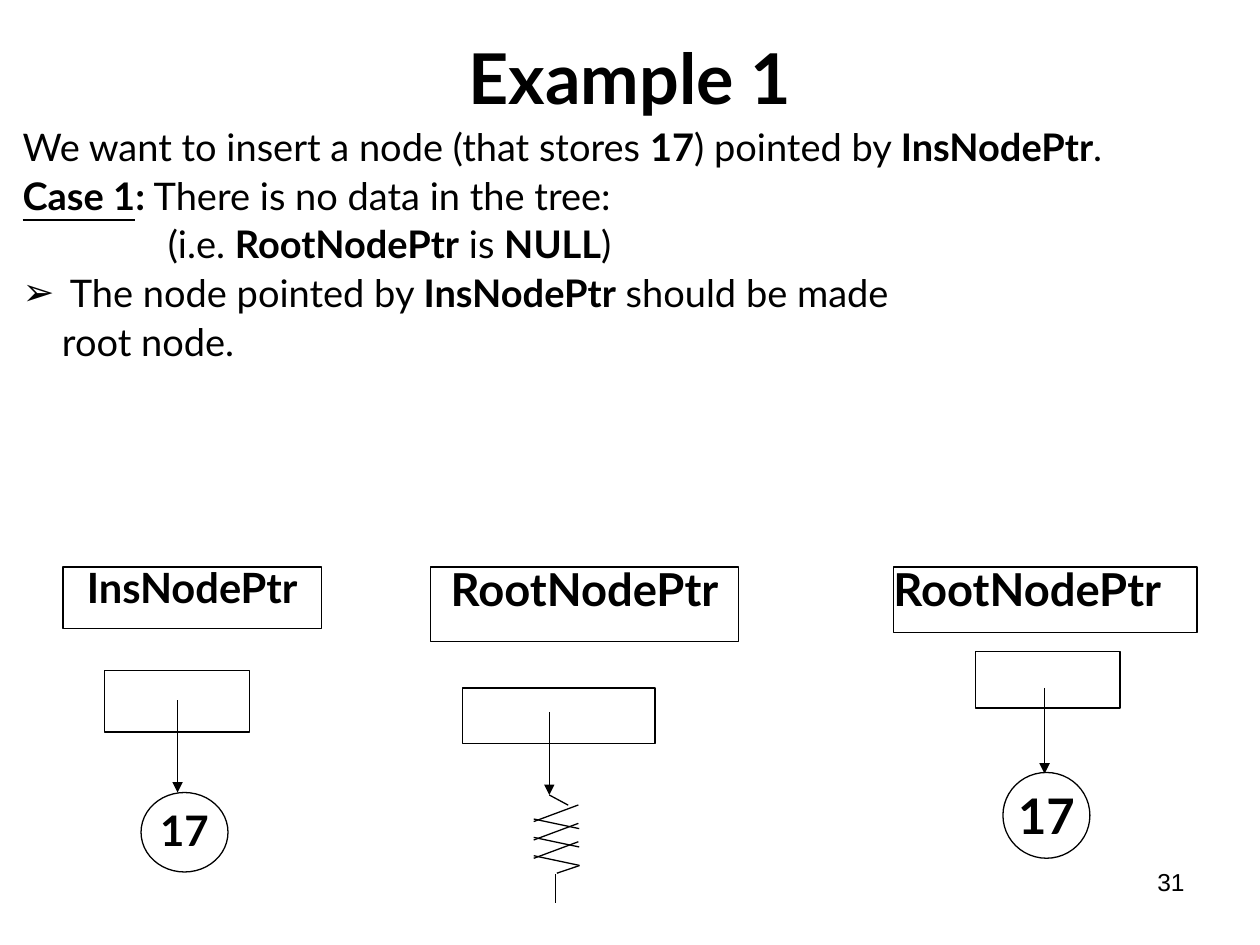
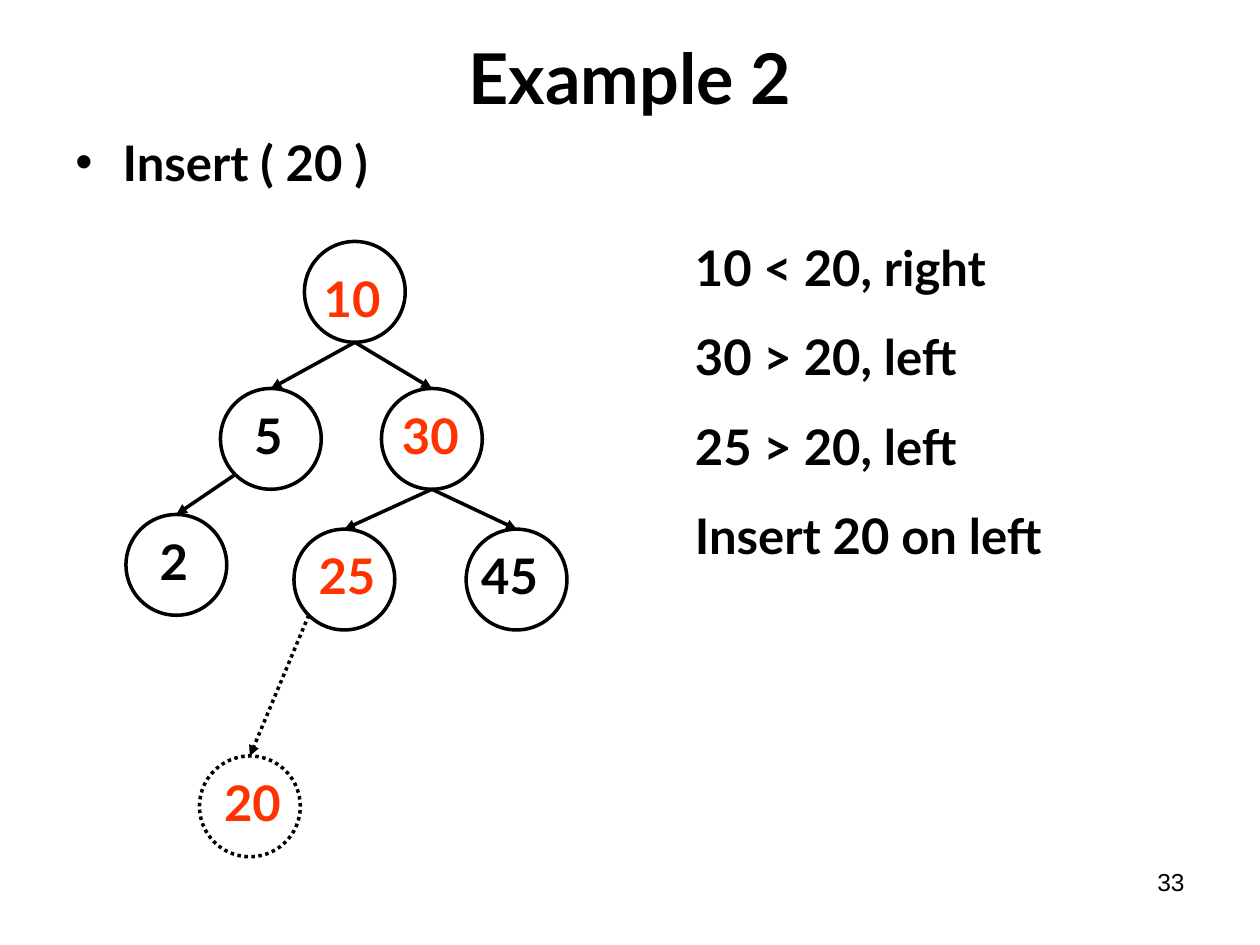
from dataclasses import dataclass
from math import sqrt

from pptx import Presentation
from pptx.dml.color import RGBColor
from pptx.enum.dml import MSO_LINE
from pptx.enum.shapes import MSO_CONNECTOR, MSO_SHAPE
from pptx.enum.text import MSO_ANCHOR, PP_ALIGN
from pptx.oxml.ns import qn
from pptx.util import Pt
from lxml.etree import SubElement


@dataclass(frozen=True)
class Theme:
    ink: RGBColor = RGBColor(0, 0, 0)
    paper: RGBColor = RGBColor(255, 255, 255)
    visited: RGBColor = RGBColor(0xFF, 0x33, 0x00)
    font: str = "Lato"
    number_font: str = "Arial"
    title: float = 40
    heading: float = 28
    body: float = 21.7
    number: float = 14
    thin: float = 0.75
    thick: float = 2


THEME = Theme()
NODE = 57.6
HANGING = 27

INSERT_CASE = [
    (0, None, [("We want to insert a node (that stores ", ""), ("17", "b"),
               (") pointed by ", ""), ("InsNodePtr", "b"), (".", "")]),
    (0, None, [("Case 1", "bu"), (":", "b"), (" There is no data in the tree:", "")]),
    (83, None, [("(i.e. ", ""), ("RootNodePtr", "b"), (" is ", ""),
                ("NULL", "b"), (")", "")]),
    (HANGING, "➢", [("The node pointed by ", ""), ("InsNodePtr", "b"),
                    (" should be made", "")]),
    (22.5, None, [("root node.", "")]),
]

POINTERS = [
    ("InsNodePtr", 23.8, PP_ALIGN.CENTER, (36, 324, 147.6, 35.3),
     (59.8, 383, 82.8, 35.3), (101.5, 400.3, 452.9)),
    ("RootNodePtr", 25.9, PP_ALIGN.CENTER, (246.2, 324, 175.7, 42.5),
     (264.2, 393.1, 110.2, 31.7), (313.9, 406.8, 454.3)),
    ("RootNodePtr", 25.9, PP_ALIGN.LEFT, (510.5, 324, 173.5, 37.4),
     (557.3, 372.2, 82.8, 32.4), (596.9, 393.1, 442.1)),
]

STORED_NODES = [
    (24, (80.6, 452.9, 49.7, 45.4)),
    (28, (573.1, 441.4, 49.7, 49)),
]

TREE = {
    "10": ((174, 138), (174.2, 149.8, 54), True),
    "5": ((126, 222), (138.2, 228.2, 30.2), False),
    "30": ((218, 222), (221.8, 228.2, 48.2), True),
    "2": ((72, 294), (84.2, 300.2, 30.2), False),
    "25": ((168, 302.4), (174.2, 308.2, 48.2), True),
    "45": ((266.4, 302.4), (264.2, 308.2, 54), False),
    "20": ((114, 432), (120.2, 437.8, 48.2), True),
}
EDGES = [("10", "5"), ("10", "30"), ("5", "2"), ("30", "25"), ("30", "45"), ("25", "20")]
INSERTED = "20"
STEPS = ["10 < 20, right", "30 > 20, left", "25 > 20, left", "Insert 20 on left"]


def format_run(r, size, bold=False, color=THEME.ink, font=THEME.font):
    r.font.name = font
    r.font.size = Pt(size)
    r.font.bold = bold
    r.font.color.rgb = color


def indent(p, left, bullet=None):
    pPr = p._p.get_or_add_pPr()
    pPr.set("marL", str(Pt(left)))
    pPr.set("indent", str(Pt(-HANGING if bullet else 0)))
    if bullet:
        SubElement(pPr, qn("a:buFont")).set("typeface", "Arial")
        SubElement(pPr, qn("a:buChar")).set("char", bullet)


def add_box(slide, left, top, width, height, anchor=MSO_ANCHOR.TOP):
    sp = slide.shapes.add_textbox(Pt(left), Pt(top), Pt(width), Pt(height))
    tf = sp.text_frame
    tf.word_wrap = True
    tf.vertical_anchor = anchor
    return tf


def add_label(slide, text, box, size, align=PP_ALIGN.CENTER, anchor=MSO_ANCHOR.TOP, **style):
    tf = add_box(slide, *box, anchor)
    tf.text = text
    p = tf.paragraphs[0]
    p.alignment = align
    format_run(p.runs[0], size, **style)
    return p


def style_line(line, width, dotted=False):
    line.color.rgb = THEME.ink
    line.width = Pt(width)
    if dotted:
        line.dash_style = MSO_LINE.ROUND_DOT


def add_outline(slide, kind, box, width=THEME.thin, filled=True, dotted=False):
    sp = slide.shapes.add_shape(kind, *map(Pt, box))
    sp.shadow.inherit = False
    if filled:
        sp.fill.solid()
        sp.fill.fore_color.rgb = THEME.paper
    else:
        sp.fill.background()
    style_line(sp.line, width, dotted)
    return sp


def fill_text(sp, text, size, align=PP_ALIGN.CENTER, spacing=1.0):
    tf = sp.text_frame
    tf.margin_left = tf.margin_right = tf.margin_top = tf.margin_bottom = 0
    tf.word_wrap = True
    tf.vertical_anchor = MSO_ANCHOR.TOP
    tf.text = text
    p = tf.paragraphs[0]
    p.alignment = align
    p.line_spacing = spacing
    format_run(p.runs[0], size, bold=True)


def add_line(slide, start, end, width=THEME.thin, arrow=False, dotted=False):
    line = slide.shapes.add_connector(MSO_CONNECTOR.STRAIGHT, *map(Pt, (*start, *end)))
    style_line(line.line, width, dotted)
    if arrow:
        SubElement(line.line._get_or_add_ln(), qn("a:tailEnd")).set("type", "triangle")
    SubElement(line._element.spPr, qn("a:effectLst"))


def add_slide(prs, title, number):
    slide = prs.slides.add_slide(prs.slide_layouts[6])
    add_label(slide, title, (222, 16, 276, 56), THEME.title,
              anchor=MSO_ANCHOR.MIDDLE, bold=True)
    add_label(slide, number, (516, 492, 168, 37.4), THEME.number,
              PP_ALIGN.RIGHT, font=THEME.number_font)
    return slide


def add_case_text(slide):
    tf = add_box(slide, 5.8, 72, 702, 198)
    for i, (left, bullet, runs) in enumerate(INSERT_CASE):
        p = tf.add_paragraph() if i else tf.paragraphs[0]
        p.line_spacing = 0.8
        p.space_before = Pt(7 if i else 0)
        indent(p, left, bullet)
        for text, marks in runs:
            r = p.add_run()
            r.text = text
            format_run(r, THEME.body, bold="b" in marks)
            r.font.underline = "u" in marks


def add_pointer(slide, name, size, align, name_box, cell, arrow):
    add_outline(slide, MSO_SHAPE.RECTANGLE, cell)
    fill_text(add_outline(slide, MSO_SHAPE.RECTANGLE, name_box), name, size, align, 0.9)
    x, top, bottom = arrow
    add_line(slide, (x, top), (x, bottom), arrow=True)


def add_null_symbol(slide):
    add_line(slide, (313.9, 454.3), (324.7, 460.1))
    for y in (468, 478.5, 489):
        add_line(slide, (305, y), (331, y + 5.5))
        add_line(slide, (305, y + 1.5), (330.5, y - 8))
    add_line(slide, (318.2, 499), (331.2, 494.6))
    add_line(slide, (317.5, 499.7), (317.5, 516.2))


def add_tree_node(slide, value):
    (left, top), (label_left, label_top, label_width), visited = TREE[value]
    add_outline(slide, MSO_SHAPE.OVAL, (left, top, NODE, NODE), THEME.thick,
                filled=False, dotted=value == INSERTED)
    add_label(slide, value, (label_left, label_top, label_width, 41), THEME.heading,
              bold=True, color=THEME.visited if visited else THEME.ink)


def add_edge(slide, parent, child):
    radius = NODE / 2
    left, top = TREE[parent][0]
    child_left, child_top = TREE[child][0]
    x, y = left + radius, top + radius
    only_child = sum(p == parent for p, _ in EDGES) == 1
    diagonal = radius / sqrt(2)
    start = (x - diagonal, y + diagonal) if only_child else (x, y + radius)
    add_line(slide, start, (child_left + radius, child_top), THEME.thick,
             arrow=True, dotted=child == INSERTED)


def add_steps(slide):
    tf = add_box(slide, 390, 132, 270, 194.4)
    tf.text = "\n".join(STEPS)
    for i, p in enumerate(tf.paragraphs):
        p.space_before = Pt(17.5 if i else 0)
        format_run(p.runs[0], THEME.heading, bold=True)


def build_empty_tree(prs):
    slide = add_slide(prs, "Example 1", "31")
    add_case_text(slide)
    for pointer in POINTERS:
        add_pointer(slide, *pointer)
    add_null_symbol(slide)
    for size, box in STORED_NODES:
        fill_text(add_outline(slide, MSO_SHAPE.OVAL, box), "17", size)


def build_insertion(prs):
    slide = add_slide(prs, "Example 2", "33")
    p = add_label(slide, "Insert ( 20 )", (36, 72, 612, 45.4), THEME.heading,
                  PP_ALIGN.LEFT, bold=True)
    indent(p, HANGING, "•")
    for value in TREE:
        add_tree_node(slide, value)
    for parent, child in EDGES:
        add_edge(slide, parent, child)
    add_steps(slide)


def main():
    prs = Presentation()
    prs.slide_width, prs.slide_height = Pt(720), Pt(540)
    build_empty_tree(prs)
    build_insertion(prs)
    prs.save("out.pptx")


if __name__ == "__main__":
    main()
